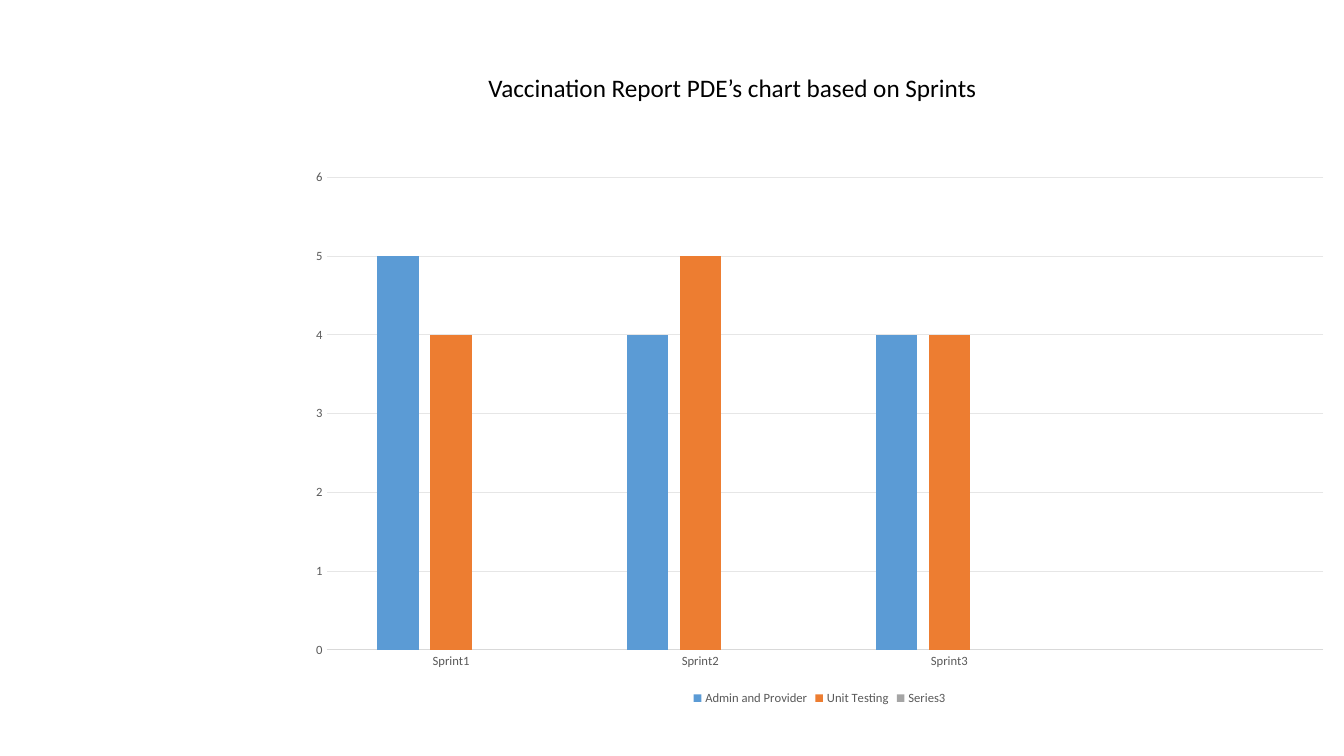
from dataclasses import dataclass

from pptx import Presentation
from pptx.chart.data import CategoryChartData
from pptx.dml.color import RGBColor
from pptx.enum.chart import XL_CHART_TYPE, XL_LEGEND_POSITION, XL_TICK_MARK
from pptx.util import Cm, Pt

COLUMNS = XL_CHART_TYPE.COLUMN_CLUSTERED
BOTTOM = XL_LEGEND_POSITION.BOTTOM
NO_TICK = XL_TICK_MARK.NONE


@dataclass(frozen=True)
class Theme:
    font: str = "Calibri"
    title_size: float = 18
    chart_size: float = 10
    label_size: float = 9
    line_width: float = 0.75
    text: str = "000000"
    label: str = "595959"
    axis: str = "D9D9D9"
    grid: str = "E6E6E6"
    series: tuple = ("5B9BD5", "ED7D31", "A5A5A5")


class SlideBuilder:
    def __init__(self, slide, theme):
        self.s = slide
        self.theme = theme

    def style_font(self, font, size, color):
        font.name = self.theme.font
        font.size = Pt(size)
        font.color.rgb = RGBColor.from_string(color)

    def style_line(self, line, color):
        line.color.rgb = RGBColor.from_string(color)
        line.width = Pt(self.theme.line_width)

    def title(self, text, left, top, width, height, indent):
        sp = self.s.shapes.add_textbox(Cm(left), Cm(top), Cm(width), Cm(height))
        tf = sp.text_frame
        tf.word_wrap = True
        tf.margin_left = Cm(indent)
        p = tf.paragraphs[0]
        r = p.add_run()
        r.text = text
        self.style_font(r.font, self.theme.title_size, self.theme.text)

    def column_chart(self, categories, series, left, top, width, height):
        theme = self.theme
        data = CategoryChartData()
        data.categories = categories
        for name, values in series:
            data.add_series(name, values)
        chart = self.s.shapes.add_chart(
            COLUMNS, Cm(left), Cm(top), Cm(width), Cm(height), data
        ).chart
        chart.has_title = False
        self.style_font(chart.font, theme.chart_size, theme.text)

        plot = chart.plots[0]
        plot.vary_by_categories = False
        plot.gap_width = 246
        plot.overlap = -28
        for ser, color in zip(plot.series, theme.series):
            ser.format.fill.solid()
            ser.format.fill.fore_color.rgb = RGBColor.from_string(color)

        for axis in (chart.category_axis, chart.value_axis):
            axis.major_tick_mark = NO_TICK
            axis.minor_tick_mark = NO_TICK
            self.style_font(axis.tick_labels.font, theme.label_size, theme.label)
        self.style_line(chart.category_axis.format.line, theme.axis)

        values_axis = chart.value_axis
        values_axis.minimum_scale = 0
        values_axis.maximum_scale = 6
        values_axis.major_unit = 1
        values_axis.format.line.fill.background()
        values_axis.has_major_gridlines = True
        self.style_line(values_axis.major_gridlines.format.line, theme.grid)

        chart.has_legend = True
        chart.legend.position = BOTTOM
        chart.legend.include_in_layout = False
        self.style_font(chart.legend.font, theme.label_size, theme.label)


def main():
    prs = Presentation()
    prs.slide_width = Cm(33.87)
    prs.slide_height = Cm(19.05)
    s = prs.slides.add_slide(prs.slide_layouts[6])
    builder = SlideBuilder(s, Theme())
    builder.title(
        "Vaccination Report PDE’s chart based on Sprints",
        3.71, 1.7, 27, 16.2, indent=8.6,
    )
    builder.column_chart(
        ["Sprint1", "Sprint2", "Sprint3", ""],
        [
            ("Admin and Provider", (5, 4, 4, None)),
            ("Unit Testing", (4, 5, 4, None)),
            ("Series3", (None,) * 4),
        ],
        7.44, 4.01, 26.43, 13.87,
    )
    prs.save("out.pptx")


if __name__ == "__main__":
    main()
